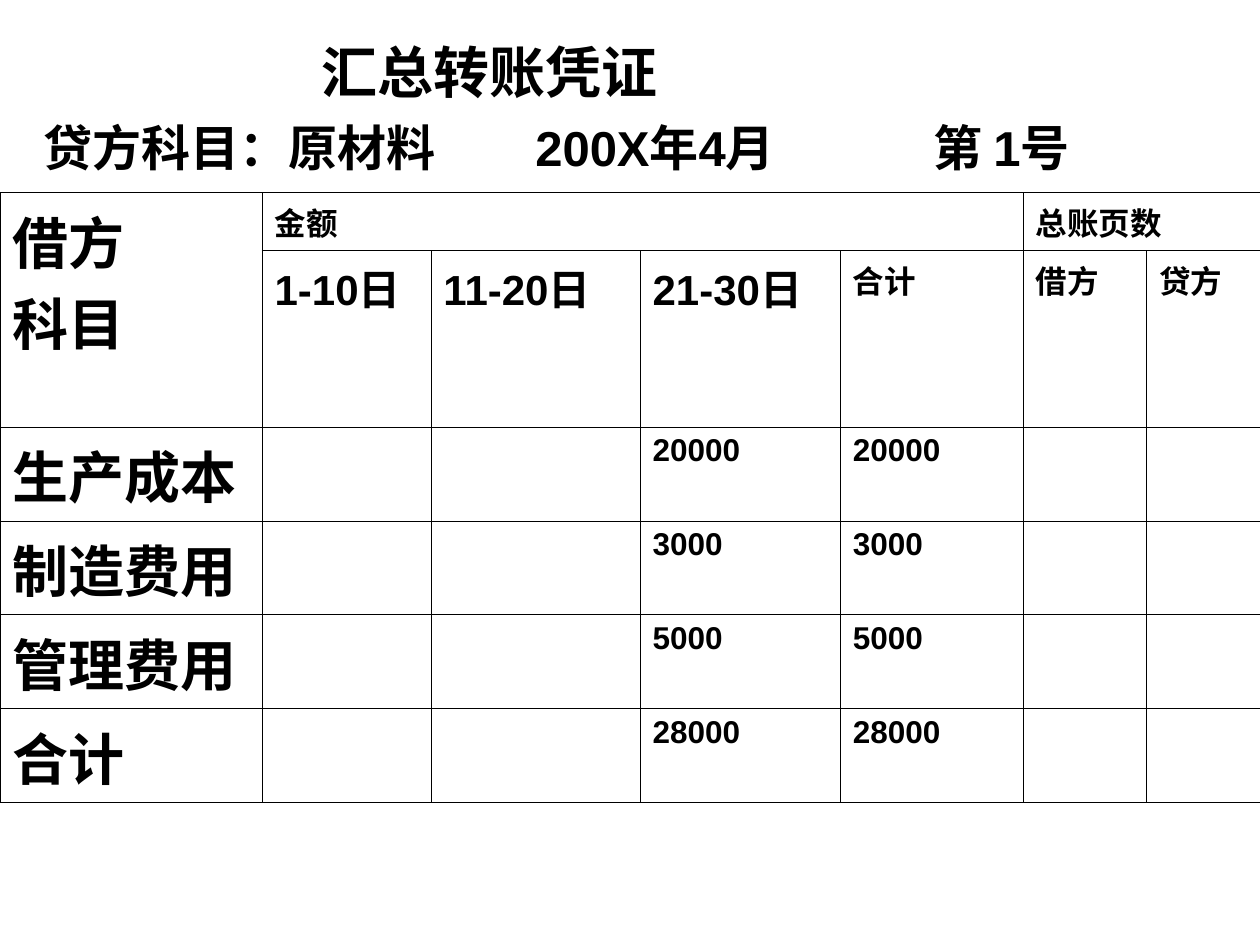
import pptx
import pptx.dml.color
import pptx.oxml
import pptx.oxml.ns
import pptx.util
from pptx.util import Inches, Pt

# Content
TITLE = "汇总转账凭证"
VOUCHER_LINE = ("贷方科目：原材料", "200X年4月", "第 1号")
VOUCHER_ROWS = [
    ["借方\n科目", "金额", "", "", "", "总账页数", ""],
    ["", "1-10日", "11-20日", "21-30日", "合计", "借方", "贷方"],
    ["生产成本", "", "", "20000", "20000", "", ""],
    ["制造费用", "", "", "3000", "3000", "", ""],
    ["管理费用", "", "", "5000", "5000", "", ""],
    ["合计", "", "", "28000", "28000", "", ""],
]
# First and last (row, column) of each merged heading
MERGES = [((0, 0), (1, 0)), ((0, 1), (0, 4)), ((0, 5), (0, 6))]

# Layout in inches
COLUMN_WIDTHS = [2.08, 1.34, 1.66, 1.59, 1.45, 0.98, 1.07]
ROW_HEIGHTS = [0.46, 1.4] + [2.98 / 4] * 4
TITLE_INDENT = 2.2
VOUCHER_TABS = [3.9, 7.06]

THEME = {
    "font": "Arial",
    "ink": "000000",
    "title": 32,
    "voucher": 28,
    "subject": 32,
    "period": 24,
    "figure": 18,
    "line": 0.45,
}


def style(paragraph, size):
    font = paragraph.font
    font.name = THEME["font"]
    font.size = Pt(THEME[size])
    font.bold = True
    font.color.rgb = pptx.dml.color.RGBColor.from_string(THEME["ink"])


def cell_size(row, column):
    if column == 0:
        return "subject"
    return "period" if row == 1 and column <= 3 else "figure"


def add_borders(cell):
    properties = cell._tc.get_or_add_tcPr()
    for side in "LRTB":
        properties.append(pptx.oxml.parse_xml(
            f'<a:ln{side} {pptx.oxml.ns.nsdecls("a")} w="{Pt(THEME["line"])}">'
            f'<a:solidFill><a:srgbClr val="{THEME["ink"]}"/></a:solidFill>'
            f'</a:ln{side}>'))


def add_heading(slide):
    box = slide.shapes.add_textbox(
        Inches(0.25), Inches(0.25), Inches(9.75), Inches(6.33))
    frame = box.text_frame
    frame.word_wrap = True

    title = frame.paragraphs[0]
    title.text = TITLE
    title._p.get_or_add_pPr().set("marL", str(Inches(TITLE_INDENT)))
    style(title, "title")

    voucher = frame.add_paragraph()
    voucher.text = "\t".join(VOUCHER_LINE)
    voucher.space_before = Pt(7)
    stops = "".join(f'<a:tab pos="{Inches(stop)}" algn="l"/>'
                    for stop in VOUCHER_TABS)
    voucher._p.get_or_add_pPr().append(pptx.oxml.parse_xml(
        f'<a:tabLst {pptx.oxml.ns.nsdecls("a")}>{stops}</a:tabLst>'))
    style(voucher, "voucher")


def add_voucher_table(slide):
    table = slide.shapes.add_table(
        len(ROW_HEIGHTS), len(COLUMN_WIDTHS), Inches(0), Inches(1.53),
        Inches(sum(COLUMN_WIDTHS)), Inches(sum(ROW_HEIGHTS))).table
    table.first_row = table.horz_banding = False
    for column, width in zip(table.columns, COLUMN_WIDTHS):
        column.width = Inches(width)
    for row, height in zip(table.rows, ROW_HEIGHTS):
        row.height = Inches(height)
    for first, last in MERGES:
        table.cell(*first).merge(table.cell(*last))

    for r, texts in enumerate(VOUCHER_ROWS):
        for c, text in enumerate(texts):
            cell = table.cell(r, c)
            add_borders(cell)
            cell.fill.background()
            if text:
                cell.text = text
                for paragraph in cell.text_frame.paragraphs:
                    style(paragraph, cell_size(r, c))


def main():
    deck = pptx.Presentation()
    deck.slide_width, deck.slide_height = Inches(10), Inches(7.5)
    slide = deck.slides.add_slide(deck.slide_layouts[6])
    add_heading(slide)
    add_voucher_table(slide)
    deck.save("out.pptx")


if __name__ == "__main__":
    main()
